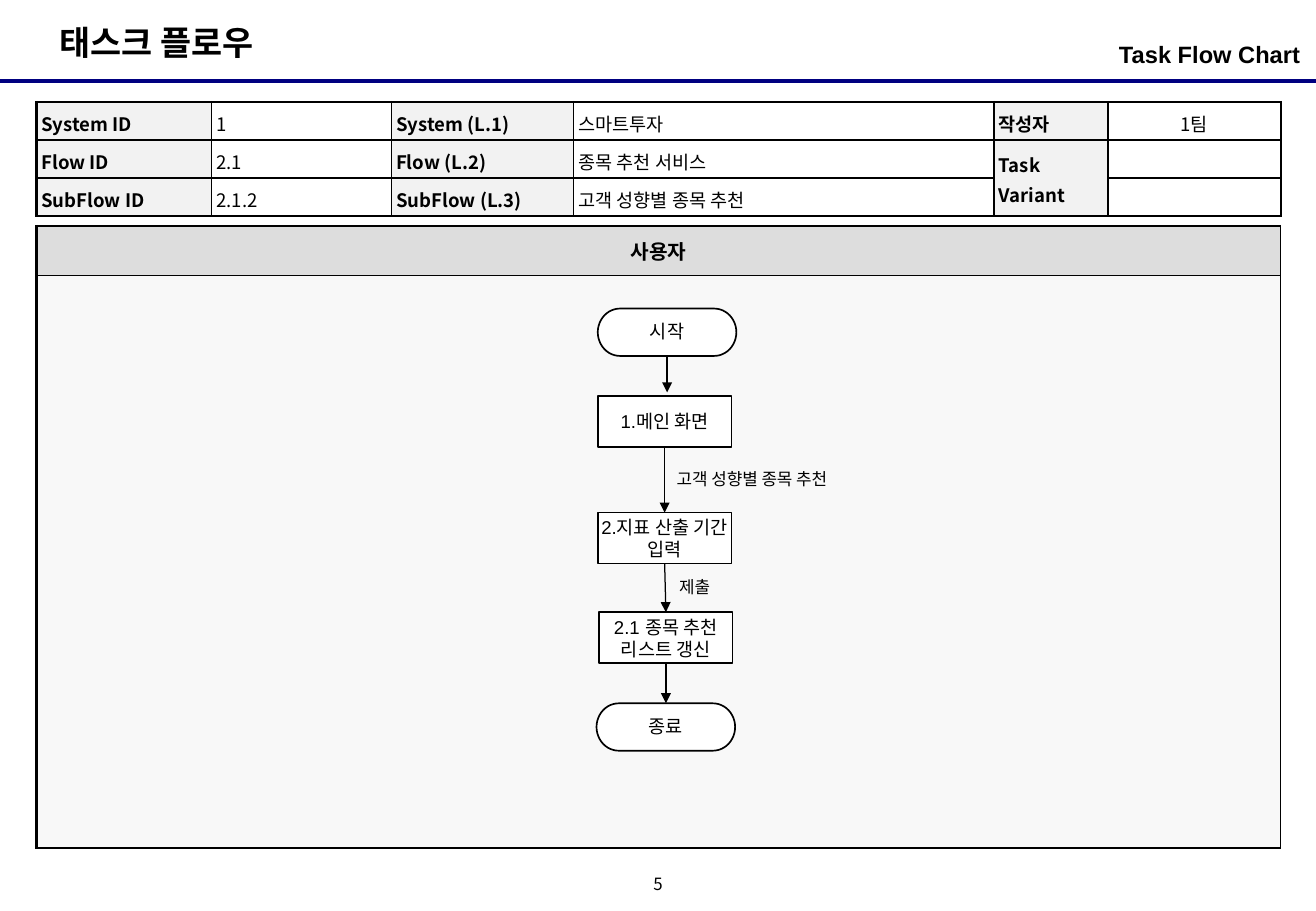
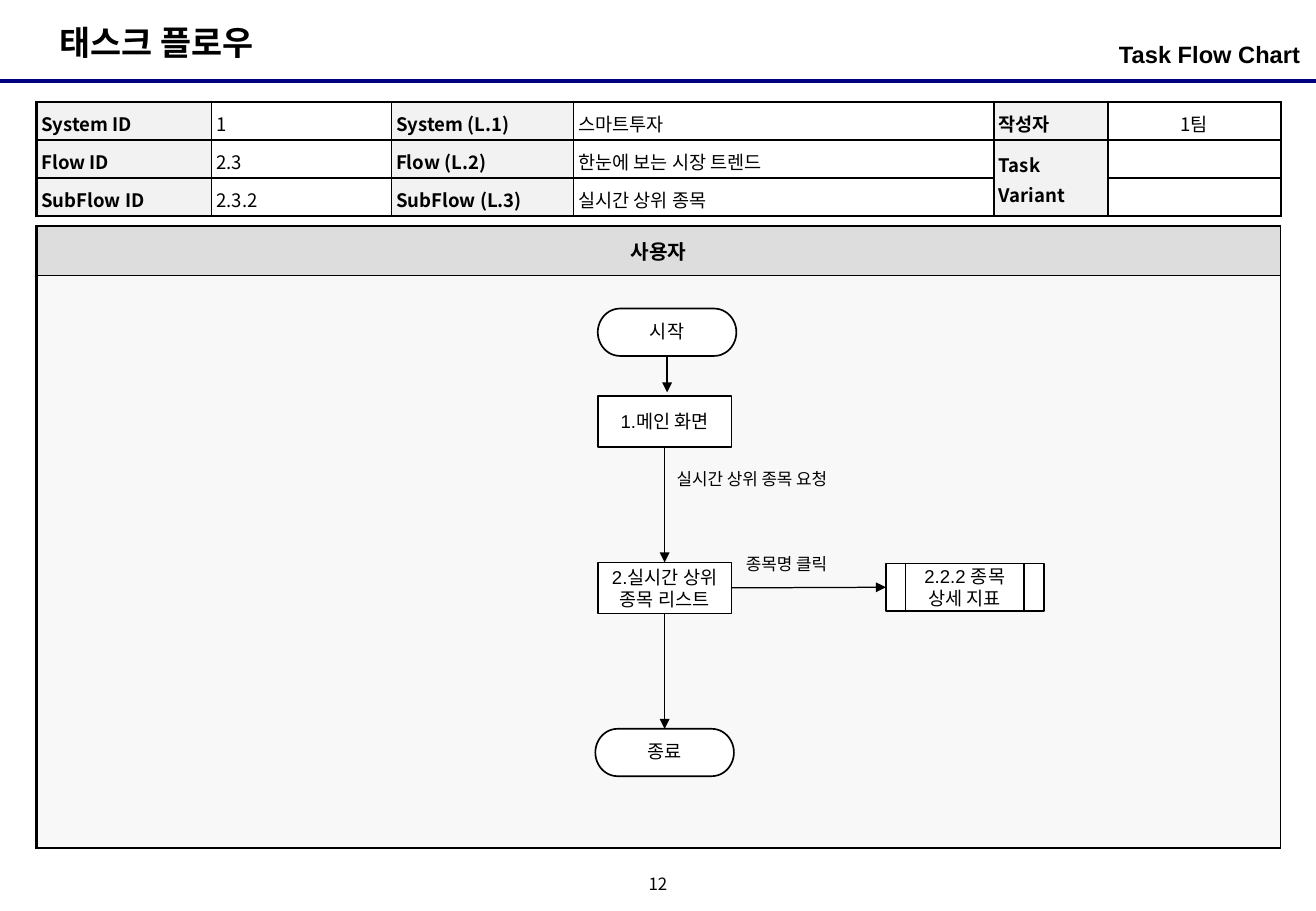
from lxml.etree import SubElement
from pptx import Presentation
from pptx.dml.color import RGBColor
from pptx.enum.shapes import MSO_CONNECTOR as Link, MSO_SHAPE as Preset
from pptx.enum.text import MSO_ANCHOR as Anchor, PP_ALIGN as Align
from pptx.oxml.ns import qn
from pptx.util import Emu, Inches, Pt

WIDTH, HEIGHT = 10.83, 7.5
LEFT, BAND_Y = 0.3, 0.67
LATIN, KOREAN = "Arial", "Noto Sans CJK KR"
BLACK, WHITE, NAVY = "000000", "FFFFFF", "000080"
LABEL_FILL, LANE_HEAD, LANE_BODY = "F2F2F2", "DDDDDD", "F8F8F8"
NO_STYLE = "{2D5ABB26-0587-4C30-8999-92F81FD0307C}"
TOP, SIDE_LEFT, BOTTOM, SIDE_RIGHT = range(4)

INFO_COLUMNS = [1.44, 1.48, 1.5, 3.46, 0.94, 1.42]
INFO_ROWS = [0.94 / 3] * 3
LANE_ROWS = [0.41, 4.71]

STEP_KINDS = {
    "terminal": (Preset.FLOWCHART_TERMINATOR, 1.14, 0.39),
    "screen": (Preset.RECTANGLE, 1.1, 0.42),
    "subflow": (Preset.FLOWCHART_PREDEFINED_PROCESS, 1.3, 0.39),
}
OPENING = {
    "start": ("terminal", "시작", 5.49, 2.54),
    "main": ("screen", "1.메인 화면", 5.47, 3.26),
}
FLOWS = [
    {
        "page": "5",
        "ids": ("2.1", "2.1.2"),
        "names": ("종목 추천 서비스", "고객 성향별 종목 추천"),
        "steps": {
            "period": ("screen", "2.지표 산출 기간 입력", 5.47, 4.22),
            "update": ("screen", "2.1 종목 추천 리스트 갱신", 5.48, 5.04),
            "end": ("terminal", "종료", 5.48, 5.79),
        },
        "down": ["main", "period", "update", "end"],
        "across": [],
        "captions": [
            ("고객 성향별 종목 추천", 5.47, 3.81, 1.63),
            ("제출", 5.49, 4.7, 0.53),
        ],
    },
    {
        "page": "12",
        "ids": ("2.3", "2.3.2"),
        "names": ("한눈에 보는 시장 트렌드", "실시간 상위 종목"),
        "steps": {
            "list": ("screen", "2.실시간 상위 종목 리스트", 5.47, 4.63),
            "end": ("terminal", "종료", 5.47, 6),
            "detail": ("subflow", "2.2.2 종목 상세 지표", 7.94, 4.64),
        },
        "down": ["main", "list", "end"],
        "across": ["list", "detail"],
        "captions": [
            ("실시간 상위 종목 요청", 5.47, 3.81, 1.63),
            ("종목명 클릭", 6.04, 4.51, 0.96),
        ],
    },
]


def color(code):
    return RGBColor.from_string(code)


def write(holder, content, size=11, bold=False, font=LATIN, align=Align.LEFT,
          anchor=Anchor.TOP, insets=(0.1, 0.05), spacing=None, hanging=0):
    box = holder if hasattr(holder, "margin_left") else holder.text_frame
    box.margin_left = box.margin_right = Inches(insets[0])
    box.margin_top = box.margin_bottom = Inches(insets[1])
    box.vertical_anchor = anchor
    holder.text_frame.word_wrap = True
    paragraph = holder.text_frame.paragraphs[0]
    paragraph.alignment = align
    if spacing:
        paragraph.line_spacing = spacing
    if hanging:
        properties = paragraph._p.get_or_add_pPr()
        properties.set("marL", str(Inches(hanging)))
        properties.set("indent", str(-Inches(hanging)))
    if not content:
        SubElement(paragraph._p, qn("a:endParaRPr"), sz=str(size * 100))
        return
    run = paragraph.add_run()
    run.text = content
    run.font.size, run.font.bold, run.font.name = Pt(size), bold, font
    run.font.color.rgb = color(BLACK)
    SubElement(run._r.get_or_add_rPr(), qn("a:ea"), typeface=KOREAN)


def add_label(slide, content, left, top, width, height, **style):
    label = slide.shapes.add_textbox(*map(Inches, (left, top, width, height)))
    write(label, content, **style)


def add_line(slide, start, end, shade=BLACK, weight=0.75, arrow=True):
    line = slide.shapes.add_connector(Link.STRAIGHT, *map(Inches, start + end))
    line.line.color.rgb = color(shade)
    line.line.width = Pt(weight)
    if arrow:
        SubElement(line.line._get_or_add_ln(), qn("a:tailEnd"), type="triangle")
    SubElement(line._element.spPr, qn("a:effectLst"))
    return line


def add_grid(slide, top, columns, rows):
    frame = slide.shapes.add_table(
        len(rows), len(columns),
        *map(Inches, (LEFT, top, sum(columns), sum(rows))))
    table = frame.table
    table.first_row = table.horz_banding = False
    table._tbl.tblPr.find(qn("a:tableStyleId")).text = NO_STYLE
    for column, width in zip(table.columns, columns):
        column.width = Inches(width)
    for row, height in zip(table.rows, rows):
        row.height = Inches(height)
    return table


def finish_cell(cell, fill, widths):
    for side, width in zip("LRTB", widths):
        edge = SubElement(cell._tc.get_or_add_tcPr(), qn("a:ln" + side), w=str(Pt(width)))
        paint = SubElement(edge, qn("a:solidFill"))
        SubElement(paint, qn("a:srgbClr"), val=BLACK)
    if fill:
        cell.fill.solid()
        cell.fill.fore_color.rgb = color(fill)
    else:
        cell.fill.background()


def add_lane(slide):
    lane = add_grid(slide, 1.86, [sum(INFO_COLUMNS)], LANE_ROWS)
    head, body = lane.cell(0, 0), lane.cell(1, 0)
    write(head, "사용자", size=12, bold=True, align=Align.CENTER, anchor=Anchor.MIDDLE)
    finish_cell(head, LANE_HEAD, (1.5, 0.75, 1.5, 0.75))
    finish_cell(body, LANE_BODY, (1.5, 0.75, 0.75, 1.5))


def add_info(slide, flow):
    (flow_id, subflow_id), (flow_name, subflow_name) = flow["ids"], flow["names"]
    content = [
        ("System ID", "1", "System (L.1)", "스마트투자", "작성자", "1팀"),
        ("Flow ID", flow_id, "Flow (L.2)", flow_name, "Task Variant", ""),
        ("SubFlow ID", subflow_id, "SubFlow (L.3)", subflow_name, "", ""),
    ]
    info = add_grid(slide, 0.84, INFO_COLUMNS, INFO_ROWS)
    info.cell(1, 4).merge(info.cell(2, 4))
    last_row, last_column = len(INFO_ROWS) - 1, len(INFO_COLUMNS) - 1
    for r, entries in enumerate(content):
        for c, entry in enumerate(entries):
            cell = info.cell(r, c)
            heading = c % 2 == 0
            write(cell, entry, bold=heading, font=KOREAN, insets=(0.04, 0.04), spacing=1.1,
                  align=Align.CENTER if c == last_column else Align.LEFT,
                  anchor=Anchor.MIDDLE if c >= 4 else Anchor.TOP)
            bottom_row = r + (cell.span_height if cell.is_merge_origin else 1) - 1
            outer = (c == 0, c == last_column, r == 0, bottom_row == last_row)
            finish_cell(cell, LABEL_FILL if heading else None,
                        [1.5 if edge else 1 for edge in outer])


def add_step(slide, kind, content, center, top):
    preset, width, height = STEP_KINDS[kind]
    step = slide.shapes.add_shape(
        preset, *map(Inches, (center - width / 2, top, width, height)))
    step.shadow.inherit = False
    step.fill.solid()
    step.fill.fore_color.rgb = color(WHITE)
    step.line.color.rgb = color(BLACK)
    step.line.width = Pt(1)
    terminal = kind == "terminal"
    write(step, content, align=Align.CENTER, anchor=Anchor.MIDDLE, insets=(0.02, 0),
          spacing=0.9 if terminal else None, hanging=0.19 if terminal else 0)
    return step


def add_flow(slide, flow):
    steps = {key: add_step(slide, *step) for key, step in (OPENING | flow["steps"]).items()}
    entry = add_line(slide, (5.49, 2.93), (5.49, 3.23))
    entry.begin_connect(steps["start"], BOTTOM)
    for chain, leave, arrive in ((flow["down"], BOTTOM, TOP),
                                 (flow["across"], SIDE_RIGHT, SIDE_LEFT)):
        for before, after in zip(chain, chain[1:]):
            arrow = add_line(slide, (0, 0), (0, 0))
            arrow.begin_connect(steps[before], leave)
            arrow.end_connect(steps[after], arrive)
    for content, left, top, width in flow["captions"]:
        add_label(slide, content, left, top, width, 0.27, size=10)


def add_page_frame(slide, page):
    add_line(slide, (0, BAND_Y), (WIDTH, BAND_Y), shade=NAVY, weight=2.25, arrow=False)
    add_label(slide, "태스크 플로우", 0.39, 0.13, 1.98, 0.44, size=20, bold=True)
    add_label(slide, "Task Flow Chart", 7.39, 0.28, 3.31, 0.39, size=14, bold=True,
              align=Align.RIGHT, insets=(0, 0.05))
    add_label(slide, page, (WIDTH - 0.33) / 2, 7.17, 0.33, 0.25, size=10, font=KOREAN,
              align=Align.CENTER, anchor=Anchor.MIDDLE, insets=(0, 0), spacing=0.8)


def main():
    deck = Presentation()
    deck.slide_width, deck.slide_height = Inches(WIDTH), Inches(HEIGHT)
    for flow in FLOWS:
        slide = deck.slides.add_slide(deck.slide_layouts[6])
        add_page_frame(slide, flow["page"])
        add_lane(slide)
        add_info(slide, flow)
        add_flow(slide, flow)
    deck.save("out.pptx")


if __name__ == "__main__":
    main()
